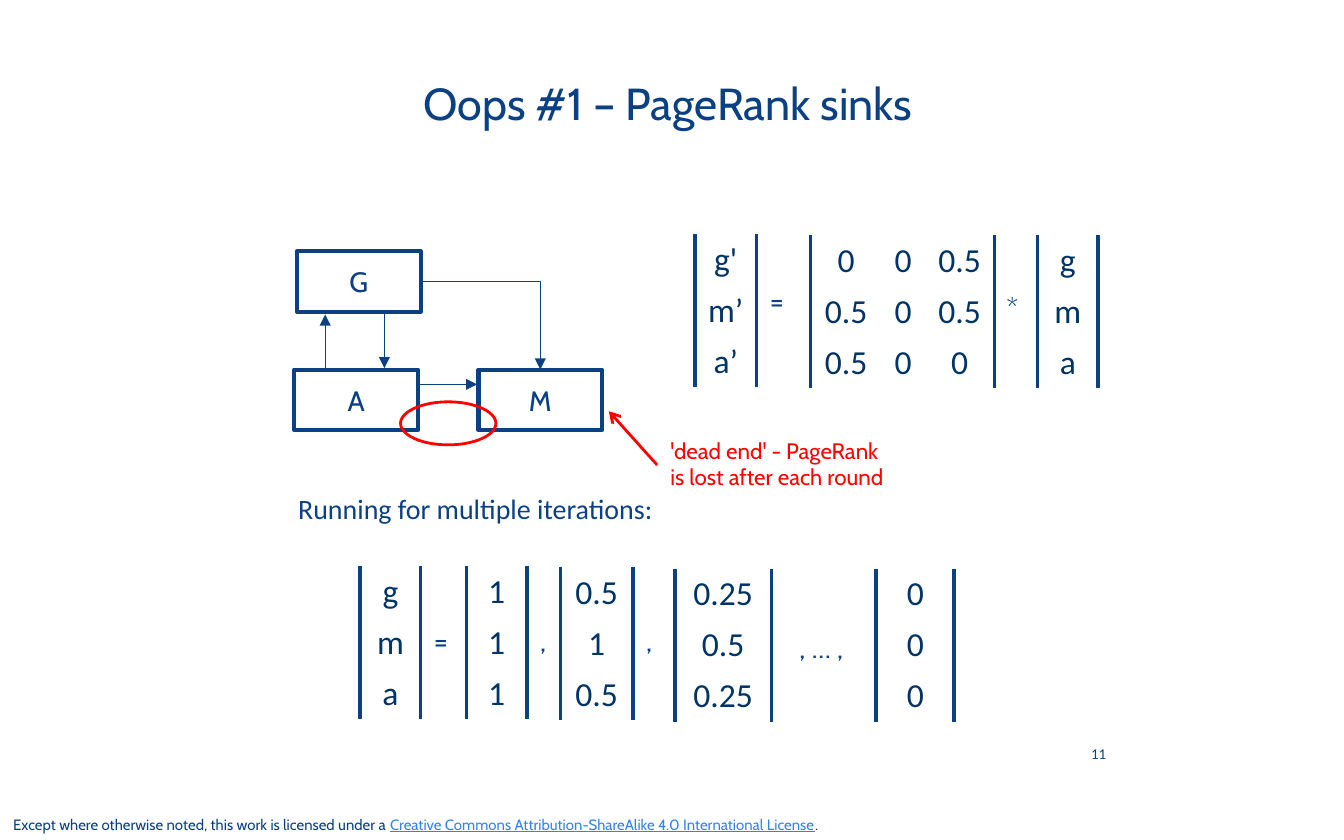
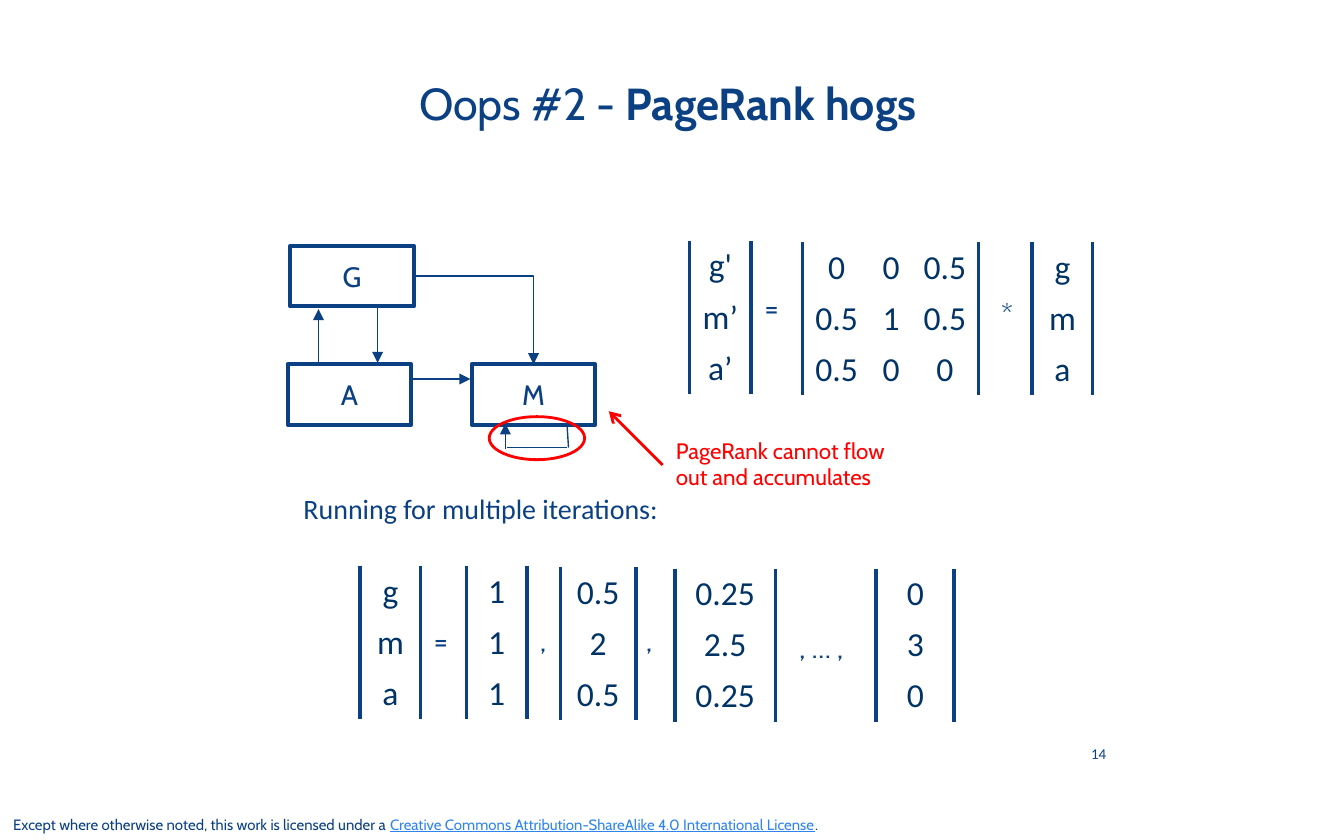
from lxml.etree import SubElement
from pptx import Presentation
from pptx.dml.color import RGBColor
from pptx.enum.shapes import MSO_CONNECTOR as CONN, MSO_SHAPE as SHAPE
from pptx.enum.text import MSO_ANCHOR as ANCHOR, MSO_AUTO_SIZE as FIT, PP_ALIGN as ALIGN
from pptx.oxml.ns import qn
from pptx.util import Inches, Pt

NAVY, INK, RED, LINK = "0B4183", "003366", "FF0000", "3085ED"
NO_STYLE = "{2D5ABB26-0587-4C30-8999-92F81FD0307C}"
rgb = RGBColor.from_string

prs = Presentation()
prs.slide_width, prs.slide_height = Inches(10), Inches(6.25)
UNIT = prs.slide_width // 100


def grid(*cells):
    return [round(c * UNIT) for c in cells]


def write(tf, parts, size, face="Cabin", colour=NAVY, align=ALIGN.LEFT):
    p = tf.paragraphs[0]
    p.text = parts[0]
    for part in parts[1:]:
        p.add_run().text = part
    p.alignment = align
    for r in p.runs:
        r.font.size, r.font.name = Pt(size), face
        r.font.color.rgb = rgb(colour)
    for br in p._p.findall(qn("a:br")):
        SubElement(br, qn("a:rPr"), sz=str(size * 100))
    return p


slides = [
    dict(
        title=["Oops #1 – PageRank sinks"], number="11",
        graph=(21.9, 18.7), equation=(51.7, 17.4),
        matrix=["0 0 0.5", "0.5 0 0.5", "0.5 0 0"], matrix_x=60.3, matrix_cols=(5.3, 3.2, 5.2),
        steps=["0.5 1 0.5", "0.25 0.5 0.25", "0 0 0"], step_widths=(5.4, 7.2, 5.8),
        note="'dead end' - PageRank\vis lost after each round", note_at=(48.9, 32, 19.2, 5),
        ring=(29.8, 29.9), label_x=21.2, loop=[],
    ),
    dict(
        title=["Oops #2 - ", "PageRank hogs"], number="14",
        graph=(21.4, 18.3), equation=(51.3, 17.9),
        matrix=["0 0 0.5", "0.5 1 0.5", "0.5 0 0"], matrix_x=59.7, matrix_cols=(5.1, 3, 5),
        steps=["0.5 2 0.5", "0.25 2.5 0.25", "0 3 0"], step_widths=(5.6, 7.5, 5.8),
        note="PageRank cannot flow\vout and accumulates", note_at=(49.3, 32, 18.5, 5),
        ring=(36.4, 31), label_x=21.6,
        loop=[(42.2, 31.7, 42.3, 33.3, None), (42.2, 33.3, 37.7, 33.3, None),
              (37.6, 33.4, 37.6, 31.5, "triangle")],
    ),
]

for d in slides:
    s = prs.slides.add_slide(prs.slide_layouts[5])
    gx, gy = d["graph"]
    ex, ey = d["equation"]
    nx = d["note_at"][0]

    title = s.shapes.title
    title.left, title.top, title.width, title.height = grid(5.1, 1.7, 89.2, 11.9)
    tf = title.text_frame
    tf.auto_size, tf.vertical_anchor = FIT.NONE, ANCHOR.MIDDLE
    for r in write(tf, d["title"], 24, align=ALIGN.CENTER).runs[1:]:
        r.font.bold = True

    tf = s.shapes.add_textbox(*grid(0, 60.2, 75, 2.3)).text_frame
    tf.word_wrap, tf.vertical_anchor = True, ANCHOR.BOTTOM
    p = write(tf, ["Except where otherwise noted, this work is licensed under a ",
                   "Creative Commons Attribution-ShareAlike 4.0 International License", "."], 8)
    p.runs[1].font.color.rgb = rgb(LINK)
    p.runs[1].font.underline = True

    tf = s.shapes.add_textbox(*grid(67.7, 54.2, 15.6, 3.8)).text_frame
    tf.word_wrap, tf.vertical_anchor = True, ANCHOR.MIDDLE
    write(tf, [d["number"]], 8, "Calibri", align=ALIGN.RIGHT)

    nodes = {}
    for name, dx, dy in [("G", 0.2, 0), ("A", 0, 8.8), ("M", 13.7, 8.8)]:
        sp = s.shapes.add_shape(SHAPE.RECTANGLE, *grid(gx + dx, gy + dy, 9.2, 4.5))
        sp.shadow.inherit = False
        sp.fill.background()
        sp.line.color.rgb, sp.line.width = rgb(NAVY), Pt(2.25)
        sp.text_frame.word_wrap = False
        sp.text_frame.vertical_anchor = ANCHOR.MIDDLE
        write(sp.text_frame, [name], 15, align=ALIGN.CENTER)
        nodes[name] = sp

    links = [(gx + 2.3, gy + 8.7, gx + 2.3, gy + 4.7, "triangle"),
             (gx + 6.7, gy + 4.6, gx + 6.7, gy + 8.7, "triangle"),
             (gx + 9.3, gy + 9.9, gx + 13.6, gy + 9.9, "triangle"),
             (gx + 9.4, gy + 2.2, gx + 18.3, gy + 8.8, "elbow"),
             (nx, 34.6, 45.3, 30.6, "arrow")]
    for *ends, head in links + d["loop"]:
        kind = CONN.ELBOW if head == "elbow" else CONN.STRAIGHT
        c = s.shapes.add_connector(kind, *grid(*ends))
        if head == "elbow":
            c._element.spPr.find(qn("a:prstGeom")).set("prst", "bentConnector2")
            c.begin_connect(nodes["G"], 3)
            c.end_connect(nodes["M"], 0)
            head = "triangle"
        c.line.color.rgb = rgb(RED if head == "arrow" else NAVY)
        c.line.width = Pt(1.5 if head == "arrow" else 0.75)
        if head:
            SubElement(c.line._get_or_add_ln(), qn("a:tailEnd"), type=head)
        SubElement(c._element.spPr, qn("a:effectLst"))

    steps = [step.split() for step in d["steps"]]
    vectors = [(ex, ey, 4.6, ["g'", "m’", "a’"]),
               (ex + 25.5, ey + 0.1, 4.5, ["g", "m", "a"]),
               (26.8, 42.1, 4.5, ["g", "m", "a"]),
               (34.7, 42.1, 4.5, ["1", "1", "1"])]
    vectors += zip((41.7, 50.2, 65.2), (42.2, 42.3, 42.3), d["step_widths"], steps)
    tables = [(x, y, [w], [[v] for v in values]) for x, y, w, values in vectors]
    tables.append((d["matrix_x"], ey + 0.1, d["matrix_cols"], [row.split() for row in d["matrix"]]))
    for x, y, widths, rows in tables:
        frame = s.shapes.add_table(3, len(widths), *grid(x, y, sum(widths), 11.2))
        table = frame.table
        table.first_row = table.horz_banding = False
        table._tbl.tblPr.find(qn("a:tableStyleId")).text = NO_STYLE
        for col, width in zip(table.columns, grid(*widths)):
            col.width = width
        for i, row in enumerate(rows):
            for j, value in enumerate(row):
                cell = table.cell(i, j)
                cell.margin_left, cell.margin_top, cell.margin_right, cell.margin_bottom = grid(0.7, 0.4, 0.7, 0.4)
                cell.fill.background()
                write(cell.text_frame, [value], 18, "Calibri", INK, ALIGN.CENTER)
                sides = ["a:lnL"] * (j == 0) + ["a:lnR"] * (j == len(row) - 1)
                tcPr = cell._tc.get_or_add_tcPr()
                for k, side in enumerate(sides):
                    ln = SubElement(tcPr, qn(side), w=str(Pt(2.25)))
                    SubElement(SubElement(ln, qn("a:solidFill")), qn("a:srgbClr"), val=NAVY)
                    tcPr.insert(k, ln)

    labels = [("=", (ex + 4.6, ey + 3.2, 3.5, 3.5), 15, "Cabin", NAVY, False),
              ("*", (ex + 22.2, ey + 3.7, 3.2, 3.5), 15, "Cabin", NAVY, False),
              ("=", (31.3, 45.9, 3.5, 3.5), 15, "Cabin", NAVY, False),
              (",", (39.2, 45.9, 2.1, 3.5), 15, "Cabin", NAVY, True),
              (",", (47.1, 45.9, 2.1, 3.5), 15, "Cabin", NAVY, True),
              (", … ,", (58.5, 46.4, 6.1, 6.1), 15, "Cabin", NAVY, True),
              ("Running for multiple iterations:", (d["label_x"], 36.1, 28.4, 3.5), 15, "Calibri", NAVY, False),
              (d["note"], d["note_at"], 12, "Cabin", RED, False)]
    for text, at, size, face, colour, wrap in labels:
        tf = s.shapes.add_textbox(*grid(*at)).text_frame
        tf.word_wrap, tf.auto_size = wrap, FIT.SHAPE_TO_FIT_TEXT
        write(tf, [text], size, face, colour)

    ring = s.shapes.add_shape(SHAPE.OVAL, *grid(*d["ring"], 7.1, 3.2))
    ring.shadow.inherit = False
    ring.fill.background()
    ring.line.color.rgb, ring.line.width = rgb(RED), Pt(1.5)

prs.save("out.pptx")
